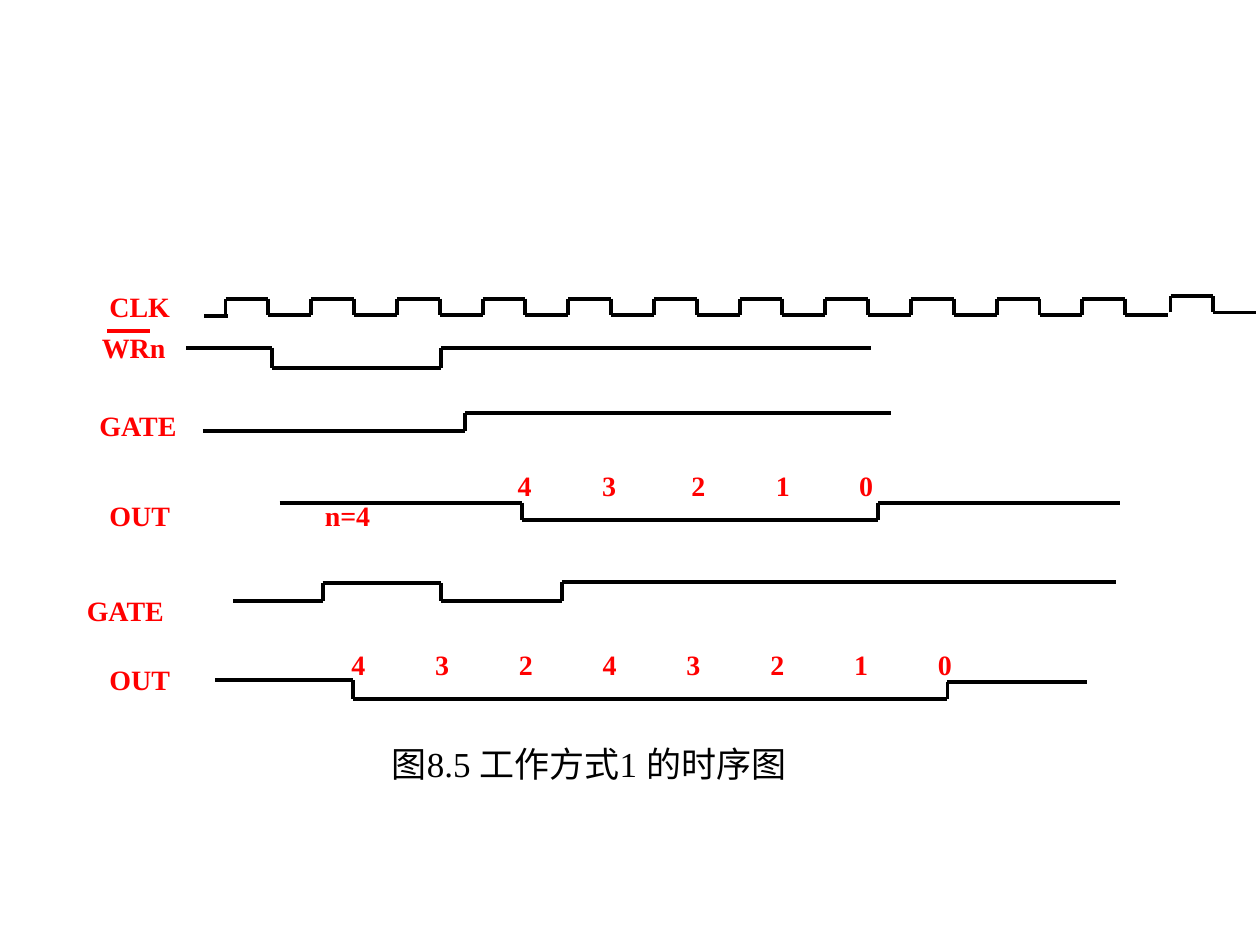
from lxml import etree
from pptx import Presentation
from pptx.dml.color import RGBColor
from pptx.enum.shapes import MSO_CONNECTOR
from pptx.enum.text import MSO_AUTO_SIZE, PP_ALIGN
from pptx.oxml.ns import qn
from pptx.util import Inches, Pt

STRAIGHT = MSO_CONNECTOR.STRAIGHT
LEFT, CENTER = PP_ALIGN.LEFT, PP_ALIGN.CENTER
FIT_SHAPE = MSO_AUTO_SIZE.SHAPE_TO_FIT_TEXT
COLORS = {"signal": "000000", "label": "FF0000"}
FONT = "Times New Roman"

prs = Presentation()
prs.slide_width, prs.slide_height = Inches(10), Inches(7.5)
s = prs.slides.add_slide(prs.slide_layouts[6])


def add_wave(shapes, points, color="signal"):
    """Join successive points with straight lines."""
    for (x1, y1), (x2, y2) in zip(points, points[1:]):
        ln = shapes.add_connector(STRAIGHT, Inches(x1), Inches(y1), Inches(x2), Inches(y2))
        ln.line.color.rgb = RGBColor.from_string(COLORS[color])
        ln.line.width = Pt(2.25)
        etree.SubElement(ln._element.spPr, qn("a:effectLst"))


def add_text(text, x, y, w, h=0.51, size=16, color="label", bold=True, align=LEFT, tabs=()):
    sp = s.shapes.add_textbox(Inches(x), Inches(y), Inches(w), Inches(h))
    tf = sp.text_frame
    tf.word_wrap = True
    p = tf.paragraphs[0]
    p.text = text
    p.alignment = align
    if tabs:
        tab_list = etree.SubElement(p._p.get_or_add_pPr(), qn("a:tabLst"))
        for pos in tabs:
            etree.SubElement(tab_list, qn("a:tab"), pos=str(Inches(pos)), algn="l")
    font = p.runs[0].font
    font.name, font.size, font.bold = FONT, Pt(size), bold
    font.color.rgb = RGBColor.from_string(COLORS[color])
    return tf


# Clock: a lead-in, then twelve cycles, the last one slightly raised
HALF = 0.34
add_wave(s.shapes, [(1.62, 2.51), (1.81, 2.51)])
cycles = [(1.79 + 2 * HALF * i, 2.37) for i in range(11)] + [(9.29, 2.35)]
for x, high in cycles:
    low = high + 0.13
    grp = s.shapes.add_group_shape()
    add_wave(grp.shapes, [(x, low), (x, high), (x + HALF, high),
                          (x + HALF, low), (x + 2 * HALF, low)])

# Write, gate and output signals
waves = [
    [(1.48, 2.76), (2.16, 2.76), (2.16, 2.92), (3.5, 2.92), (3.5, 2.76), (6.91, 2.76)],
    [(1.61, 3.42), (3.69, 3.42), (3.69, 3.28), (7.07, 3.28)],
    [(2.22, 3.99), (4.14, 3.99), (4.14, 4.13), (6.97, 4.13), (6.97, 3.99), (8.89, 3.99)],
    [(1.85, 4.77), (2.56, 4.77), (2.56, 4.63), (3.5, 4.63), (3.5, 4.77),
     (4.46, 4.77), (4.46, 4.62), (8.86, 4.62)],
    [(1.71, 5.4), (2.8, 5.4), (2.8, 5.55), (7.52, 5.55), (7.52, 5.41), (8.63, 5.41)],
]
for points in waves:
    add_wave(s.shapes, points)

# Signal names, with the bar over WR
for name, x, y in [("CLK", 0.77, 2.25), ("WRn", 0.71, 2.57), ("GATE", 0.69, 3.19),
                   ("OUT", 0.77, 3.91), ("GATE", 0.59, 4.66), ("OUT", 0.77, 5.21)]:
    add_text(name, x, y, 0.95)
add_wave(s.shapes, [(0.85, 2.63), (1.19, 2.63)], "label")

# Count values above the two outputs
add_text("n=4", 2.48, 3.91, 1.14)
add_text("\t".join("43210"), 4.01, 3.67, 5.5, tabs=[0.67, 1.38, 2.05, 2.71])
add_text("\t".join("43243210"), 2.69, 5.09, 5.66, tabs=[0.665 * i for i in range(1, 8)])

# Caption
tf = add_text("图8.5 工作方式1 的时序图", 2.88, 5.84, 3.59, 0.44,
              size=20, color="signal", bold=False, align=CENTER)
tf.word_wrap = False
tf.auto_size = FIT_SHAPE

prs.save("out.pptx")
